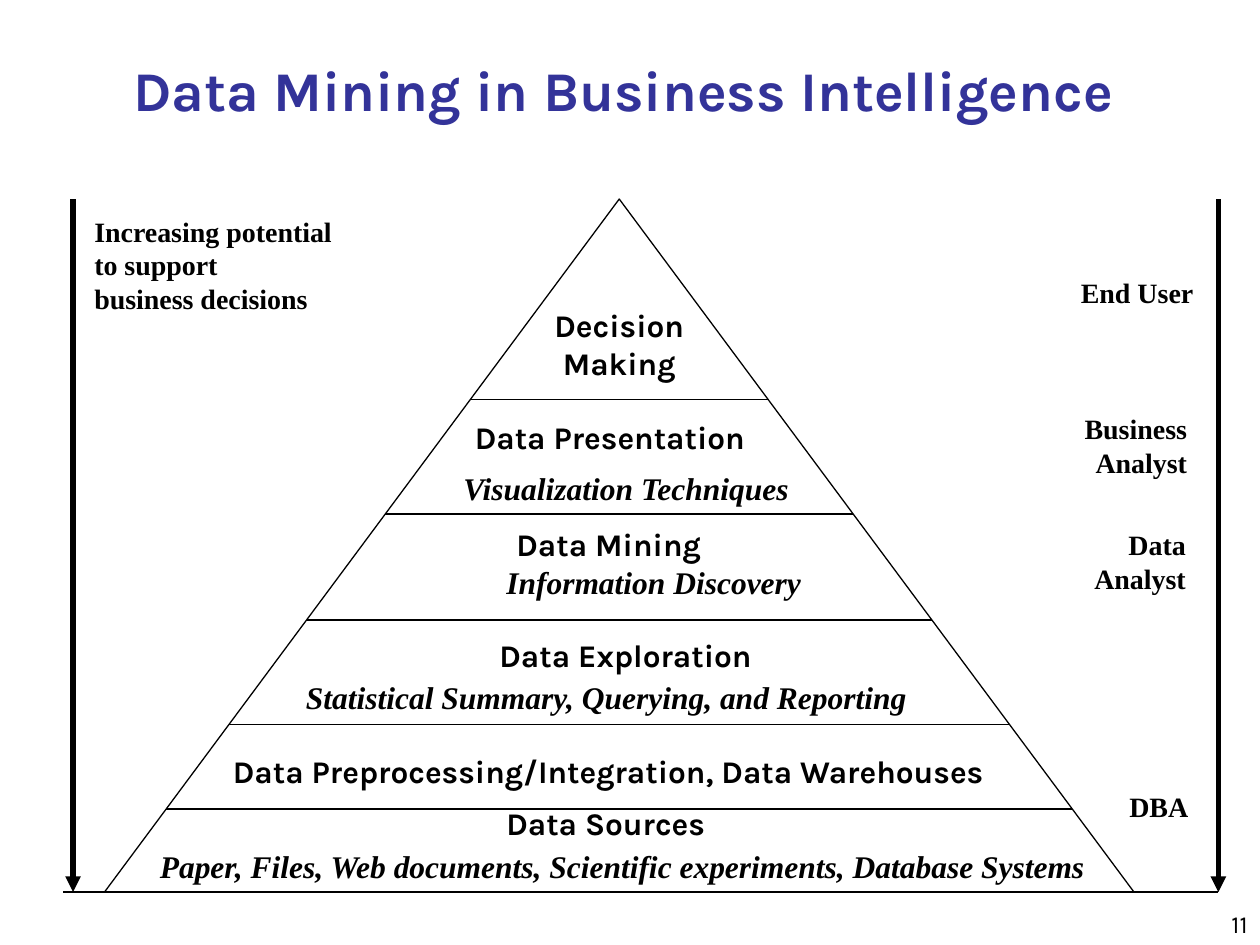
import pptx
import pptx.util
import pptx.dml.color
import pptx.enum.shapes
import pptx.enum.text
import pptx.oxml
import pptx.oxml.ns

PX = 9144  # EMU per px, 100 px to the inch
HEX = {"ink": "000000", "title": "333399"}
SANS, SERIF = "Karla", "Times New Roman"
ALIGN = pptx.enum.text.PP_ALIGN
ANCHOR = pptx.enum.text.MSO_ANCHOR


def emu(*nums):
    return [pptx.util.Emu(round(num * PX)) for num in nums]


def color(name):
    return pptx.dml.color.RGBColor.from_string(HEX[name])


def text(slide, box, lines, size, face, align=ALIGN.LEFT, bold=True,
         slant=False, ink="ink", anchor=ANCHOR.TOP, wrap=True):
    frame = slide.shapes.add_textbox(*emu(*box)).text_frame
    frame.word_wrap = wrap
    frame.vertical_anchor = anchor
    frame.text = "\n".join(lines)
    for para in frame.paragraphs:
        para.alignment = align
        font = para.font
        font.size, font.name = pptx.util.Pt(size), face
        font.bold, font.italic = bold, slant
        font.color.rgb = color(ink)


def line(slide, start, end, width=0.75, arrow=False):
    kind = pptx.enum.shapes.MSO_CONNECTOR.STRAIGHT
    conn = slide.shapes.add_connector(kind, *emu(*start, *end))
    conn.line.color.rgb = color("ink")
    conn.line.width = pptx.util.Pt(width)
    if arrow:
        tail = pptx.oxml.parse_xml(
            f'<a:tailEnd {pptx.oxml.ns.nsdecls("a")} type="triangle"/>')
        conn.line._get_or_add_ln().append(tail)
    props = conn._element.spPr
    props.append(props.makeelement(pptx.oxml.ns.qn("a:effectLst"), {}))


def pyramid(slide, box):
    left, top, width, height = box
    kind = pptx.enum.shapes.MSO_SHAPE.FLOWCHART_EXTRACT
    shape = slide.shapes.add_shape(kind, *emu(*box))
    shape.shadow.inherit = False
    shape.fill.background()
    shape.line.color.rgb = color("ink")
    shape.line.width = pptx.util.Pt(0.75)

    # Tier dividers run from one slanted side to the other
    mid = left + width / 2
    for drop in (484, 417, 334, 250, 159):
        half = width / 2 * drop / height
        line(slide, (mid - half, top + drop), (mid + half, top + drop))

    # Tier names: x, y, width, height, words, alignment
    names = [
        (342, 80, 133, 70, "Decision Making", ALIGN.CENTER),
        (284, 169, 247, 40, "Data Presentation", ALIGN.LEFT),
        (317, 254, 195, 40, "Data Mining", ALIGN.LEFT),
        (285, 342, 257, 40, "Data Exploration", ALIGN.CENTER),
        (92, 434, 658, 40, "Data Preprocessing/Integration, Data Warehouses",
         ALIGN.LEFT),
        (309, 475, 186, 40, "Data Sources", ALIGN.LEFT),
    ]
    for x, y, wide, high, words, align in names:
        text(slide, (left + x, top + y, wide, high), [words], 18, SANS, align)

    # Tier details: x, y, width, words
    notes = [
        (275, 209, 282, "Visualization Techniques"),
        (309, 284, 254, "Information Discovery"),
        (150, 375, 500, "Statistical Summary, Querying, and Reporting"),
        (34, 509, 778, "Paper, Files, Web documents, Scientific experiments, "
         "Database Systems"),
    ]
    for x, y, wide, words in notes:
        text(slide, (left + x, top + y, wide, 40), [words], 18, SERIF,
             slant=True)


def support(slide, box):
    left, top, width, height = box
    line(slide, (left, top), (left, top + height), 3, True)
    text(slide, (left + 7, top + 7, width - 7, 90),
         ["Increasing potential", "to support", "business decisions"],
         16, SERIF)


def roles(slide, box):
    left, top, width, height = box
    edge = left + width
    line(slide, (edge, top), (edge, top + height), 3, True)

    # Each role: gap to the arrow, y, width, height, lines
    people = [
        (10, 56, 110, 37, ["End User"]),
        (15, 164, 104, 64, ["Business", "Analyst"]),
        (16, 256, 94, 64, ["Data", "Analyst"]),
        (14, 464, 67, 37, ["DBA"]),
    ]
    for gap, y, wide, high, lines in people:
        text(slide, (edge - gap - wide, top + y, wide, high), lines, 16, SERIF,
             ALIGN.RIGHT, wrap=False)


def main():
    deck = pptx.Presentation()
    deck.slide_width, deck.slide_height = emu(1000, 750)
    slide = deck.slides.add_slide(deck.slide_layouts[6])

    # Page number and title
    text(slide, (792, 700, 208, 50), ["11"], 14, SANS, ALIGN.RIGHT,
         bold=False, anchor=ANCHOR.BOTTOM)
    text(slide, (20, 42, 950, 58), ["Data Mining in Business Intelligence"],
         32, SANS, ALIGN.CENTER, ink="title", anchor=ANCHOR.MIDDLE)

    # Diagram, with the base line under all three regions
    top, height = 158, 550
    pyramid(slide, (83, top, 817, height))
    support(slide, (58, top, 217, height))
    roles(slide, (847, top, 120, height))
    line(slide, (50, top + height), (967, top + height))

    deck.save("out.pptx")


if __name__ == "__main__":
    main()
